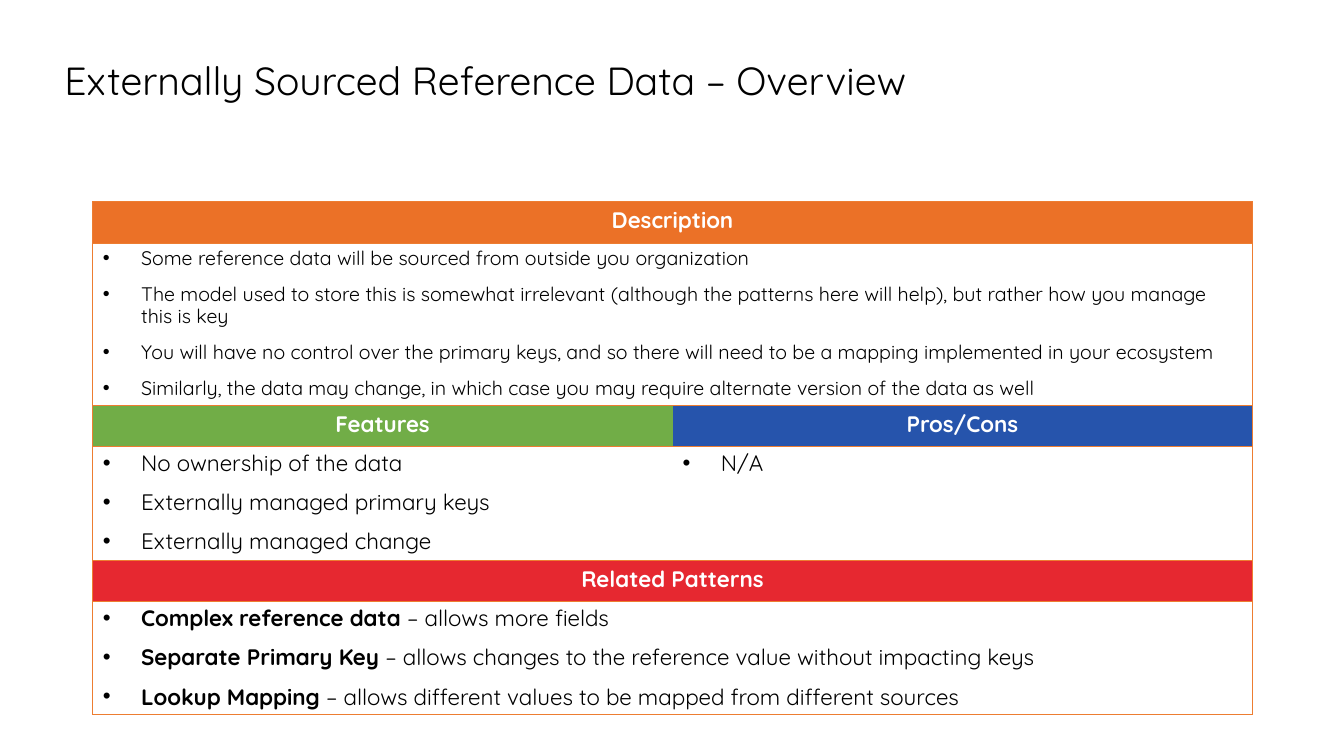
from lxml import etree
from pptx import Presentation
from pptx.dml.color import RGBColor
from pptx.enum.text import MSO_ANCHOR, PP_ALIGN
from pptx.oxml.ns import qn
from pptx.util import Emu, Inches, Pt

CENTER, LEFT = PP_ALIGN.CENTER, PP_ALIGN.LEFT
MIDDLE = MSO_ANCHOR.MIDDLE
FONT = "Quicksand"
BLACK, WHITE, ORANGE_LINE = "000000", "FFFFFF", "ED7D31"
HEADER_HEIGHT = 0.41
INDENT = Inches(0.38)

# Each section: height of its content row, then its columns as
# (heading, heading fill, text size, bullets); a bullet is a list of (text, bold) runs.
SECTIONS = [
    (1.61, [("Description", "EB7127", 14, [
        [("Some reference data will be sourced from outside you organization", False)],
        [("The model used to store this is somewhat irrelevant (although the patterns "
          "here will help), but rather how you manage this is key", False)],
        [("You will have no control over the primary keys, and so there will need to be "
          "a mapping implemented in your ecosystem", False)],
        [("Similarly, the data may change, in which case you may require alternate "
          "version of the data as well", False)],
    ])]),
    (1.13, [
        ("Features", "71AD47", 16, [
            [("No ownership of the data", False)],
            [("Externally managed primary keys", False)],
            [("Externally managed change", False)],
        ]),
        ("Pros/Cons", "2654AC", 16, [[("N/A", False)]]),
    ]),
    (1.12, [("Related Patterns", "E62830", 16, [
        [("Complex reference data ", True), ("– allows more fields", False)],
        [("Separate Primary Key ", True),
         ("– allows changes to the reference value without impacting keys", False)],
        [("Lookup Mapping ", True),
         ("– allows different values to be mapped from different sources", False)],
    ])]),
]


def color(hex_value):
    return RGBColor.from_string(hex_value)


def add_run(para, text, size, hex_value, bold=False):
    run = para.add_run()
    run.text = text
    run.font.name = FONT
    run.font.size = Pt(size)
    run.font.bold = bold
    run.font.color.rgb = color(hex_value)


def make_bullet(para):
    properties = para._p.get_or_add_pPr()
    properties.set("marL", str(INDENT))
    properties.set("indent", str(-INDENT))
    etree.SubElement(properties, qn("a:buFont")).set("typeface", "Arial")
    etree.SubElement(properties, qn("a:buChar")).set("char", "•")


def set_borders(cell, visible_sides):
    """Outline the visible sides in orange and clear the others."""
    properties = cell._tc.get_or_add_tcPr()
    for position, side in enumerate("LRTB"):
        line = etree.Element(qn(f"a:ln{side}"), w=str(Pt(0.5)))
        if side in visible_sides:
            fill = etree.SubElement(line, qn("a:solidFill"))
            etree.SubElement(fill, qn("a:srgbClr")).set("val", ORANGE_LINE)
        else:
            etree.SubElement(line, qn("a:noFill"))
        properties.insert(position, line)


def fill_heading(cell, text, hex_value):
    cell.fill.solid()
    cell.fill.fore_color.rgb = color(hex_value)
    para = cell.text_frame.paragraphs[0]
    para.alignment = CENTER
    add_run(para, text, 16, WHITE, bold=True)


def fill_bullets(cell, bullets, size):
    cell.fill.background()
    frame = cell.text_frame
    for index, runs in enumerate(bullets):
        para = frame.add_paragraph() if index else frame.paragraphs[0]
        make_bullet(para)
        para.alignment = LEFT
        para.line_spacing = 0.9
        para.space_before = Pt(10 if index else 0)
        for text, bold in runs:
            add_run(para, text, size, BLACK, bold)


def add_title(page, left, top, width, height):
    box = page.shapes.add_textbox(left, top, width, height)
    frame = box.text_frame
    frame.word_wrap = True
    frame.vertical_anchor = MIDDLE
    para = frame.paragraphs[0]
    para.line_spacing = 0.9
    add_run(para, "Externally Sourced Reference Data – Overview", 28, BLACK)


def add_overview(page, left, top, width):
    heights = [h for content, _ in SECTIONS for h in (HEADER_HEIGHT, content)]
    frame = page.shapes.add_table(len(heights), 2, left, top, width, Inches(sum(heights)))
    table = frame.table
    table.first_row = table.horz_banding = False
    for column in table.columns:
        column.width = Emu(width // 2)
    for row, height in zip(table.rows, heights):
        row.height = Inches(height)

    # Headings and their bullets
    for number, (_, columns) in enumerate(SECTIONS):
        for row in (2 * number, 2 * number + 1):
            if len(columns) == 1:
                table.cell(row, 0).merge(table.cell(row, 1))
            for index in range(2):
                sides = "LRTB" if len(columns) == 1 else "LR"[index] + "TB"
                set_borders(table.cell(row, index), sides)
        for index, (heading, fill, size, bullets) in enumerate(columns):
            fill_heading(table.cell(2 * number, index), heading, fill)
            fill_bullets(table.cell(2 * number + 1, index), bullets, size)


def main():
    deck = Presentation()
    deck.slide_width, deck.slide_height = Inches(13.33), Inches(7.5)
    page = deck.slides.add_slide(deck.slide_layouts[6])
    add_title(page, Inches(0.54), Inches(0.54), Inches(10.59), Inches(0.56))
    add_overview(page, Inches(0.92), Inches(2), Inches(11.5))
    deck.save("out.pptx")


if __name__ == "__main__":
    main()
